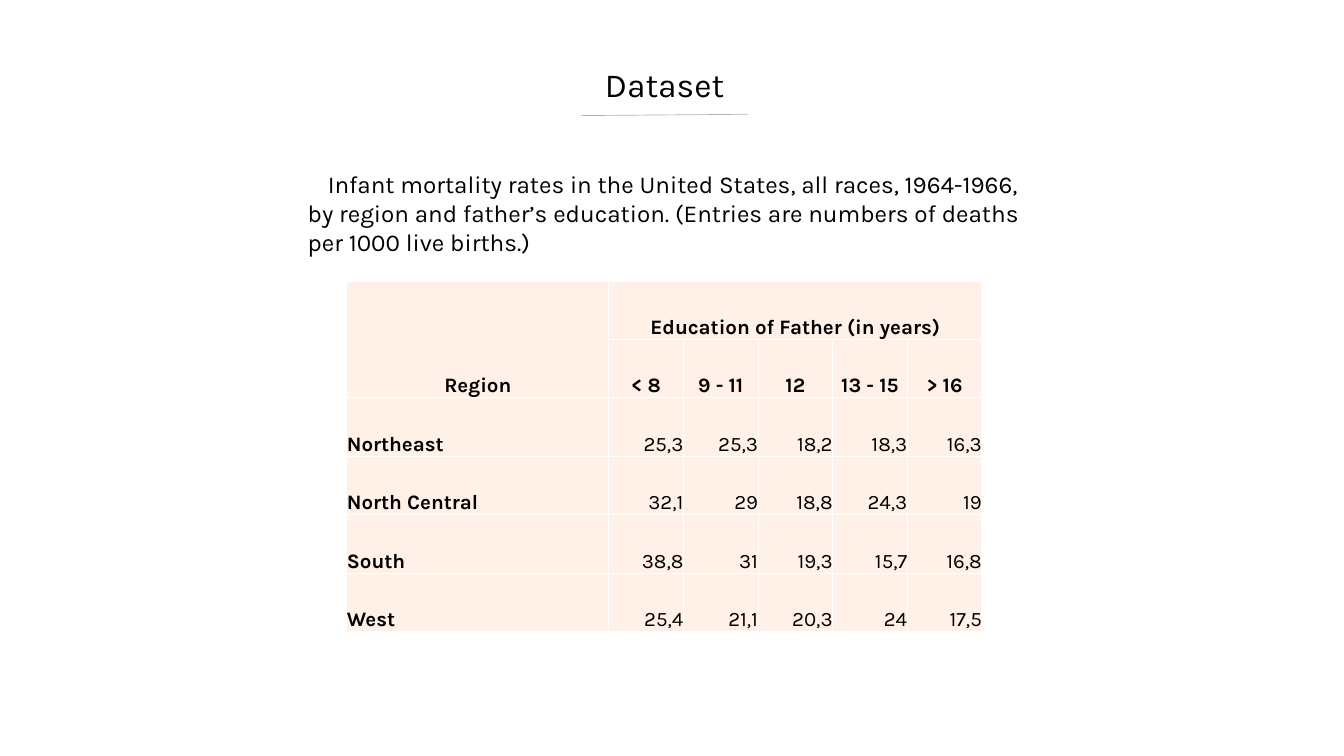
from lxml.etree import SubElement
from pptx import Presentation
from pptx.dml.color import RGBColor
from pptx.enum.shapes import MSO_CONNECTOR
from pptx.enum.text import MSO_ANCHOR, PP_ALIGN
from pptx.oxml.ns import qn
from pptx.util import Cm, Pt

COLORS = {"text": "000000", "rule": "B2B2B2", "cell": "FFF1E8", "border": "FFFFFF"}
FONT = "Karla"


def add_text(tf, text, size, align, bold=False):
    p = tf.paragraphs[0]
    p.alignment = align
    r = p.add_run()
    r.text = text
    r.font.name = FONT
    r.font.size = Pt(size)
    r.font.bold = bold
    r.font.color.rgb = RGBColor.from_string(COLORS["text"])
    return p


def add_borders(cell):
    tcPr = cell._tc.get_or_add_tcPr()
    for side in ("lnL", "lnR", "lnT", "lnB"):
        ln = SubElement(tcPr, qn(f"a:{side}"), w=str(Pt(1)))
        fill = SubElement(ln, qn("a:solidFill"))
        SubElement(fill, qn("a:srgbClr"), val=COLORS["border"])


prs = Presentation()
prs.slide_width = Cm(50.8)
prs.slide_height = Cm(28.58)
s = prs.slides.add_slide(prs.slide_layouts[6])

title = s.shapes.add_textbox(Cm(17.93), Cm(2.16), Cm(14.38), Cm(2.51))
tf = title.text_frame
tf.word_wrap = True
tf.margin_left = tf.margin_right = tf.margin_top = tf.margin_bottom = Cm(0.25)
add_text(tf, "Dataset", 36, PP_ALIGN.CENTER)

rule = s.shapes.add_connector(MSO_CONNECTOR.STRAIGHT, Cm(21.97), Cm(4.37), Cm(28.27), Cm(4.32))
rule.line.color.rgb = RGBColor.from_string(COLORS["rule"])
rule.line.width = Pt(0.75)
SubElement(rule._element.spPr, qn("a:effectLst"))

intro = s.shapes.add_textbox(Cm(11.38), Cm(6.27), Cm(28.4), Cm(4.62))
tf = intro.text_frame
tf.word_wrap = True
p = add_text(
    tf,
    "Infant mortality rates in the United States, all races, 1964-1966, by region and "
    "father’s education. (Entries are numbers of deaths per 1000 live births.)",
    26,
    PP_ALIGN.LEFT,
)
pPr = p._p.get_or_add_pPr()
pPr.set("marL", "0")
pPr.set("indent", str(Cm(0.76)))

rows = [
    ["Region", "Education of Father (in years)", "", "", "", ""],
    ["", "< 8", "9 - 11", "12", "13 - 15", "> 16"],
    ["Northeast", "25,3", "25,3", "18,2", "18,3", "16,3"],
    ["North Central", "32,1", "29", "18,8", "24,3", "19"],
    ["South", "38,8", "31", "19,3", "15,7", "16,8"],
    ["West", "25,4", "21,1", "20,3", "24", "17,5"],
]
col_widths = [9.9] + [2.82] * 5
row_height = 2.21
frame = s.shapes.add_table(
    len(rows), len(col_widths), Cm(13.11), Cm(10.62),
    Cm(sum(col_widths)), Cm(row_height * len(rows)),
)
table = frame.table
table.first_row = False
table.horz_banding = False
for column, width in zip(table.columns, col_widths):
    column.width = Cm(width)
for row in table.rows:
    row.height = Cm(row_height)
table.cell(0, 0).merge(table.cell(1, 0))
table.cell(0, 1).merge(table.cell(0, 5))

for i, values in enumerate(rows):
    for j, value in enumerate(values):
        cell = table.cell(i, j)
        cell.margin_left = cell.margin_right = cell.margin_top = cell.margin_bottom = 0
        cell.vertical_anchor = MSO_ANCHOR.BOTTOM
        add_borders(cell)
        cell.fill.solid()
        cell.fill.fore_color.rgb = RGBColor.from_string(COLORS["cell"])
        if value:
            header = i < 2
            align = PP_ALIGN.CENTER if header else PP_ALIGN.RIGHT if j else PP_ALIGN.LEFT
            add_text(cell.text_frame, value, 22, align, header or j == 0)

prs.save("out.pptx")
